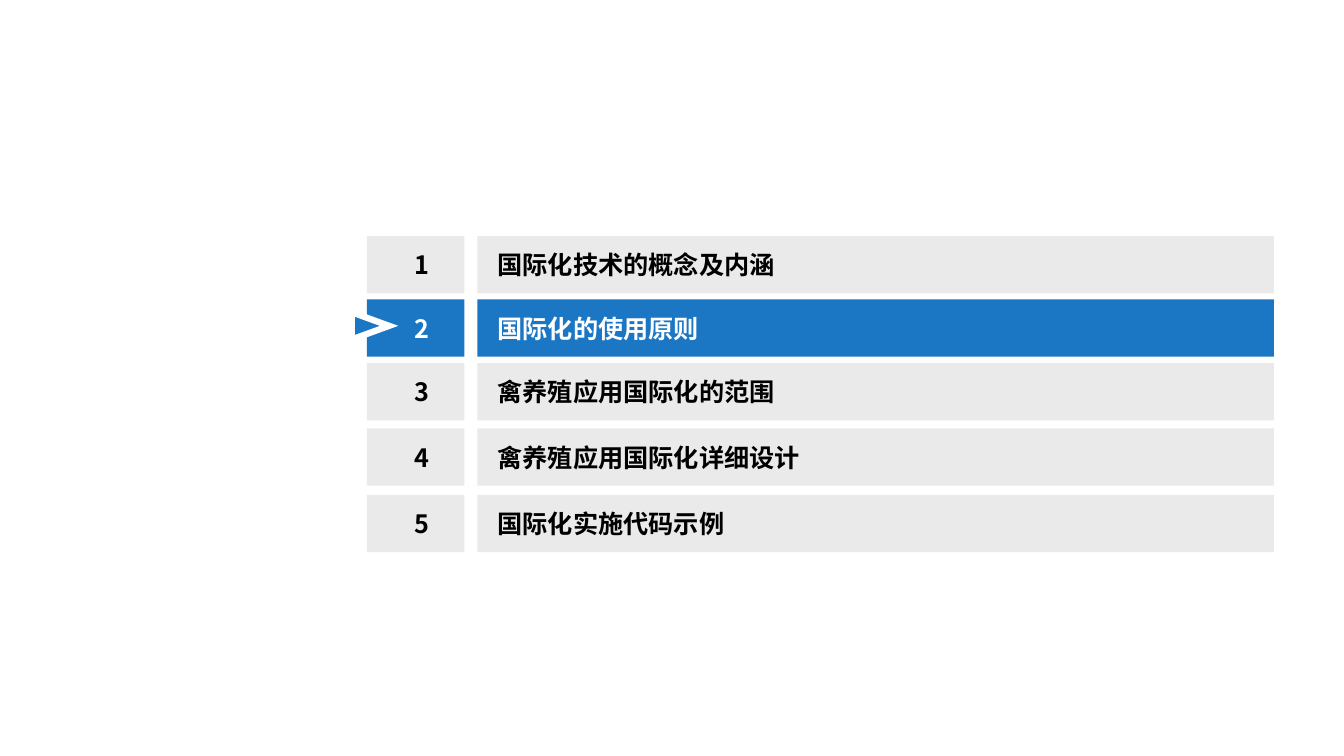
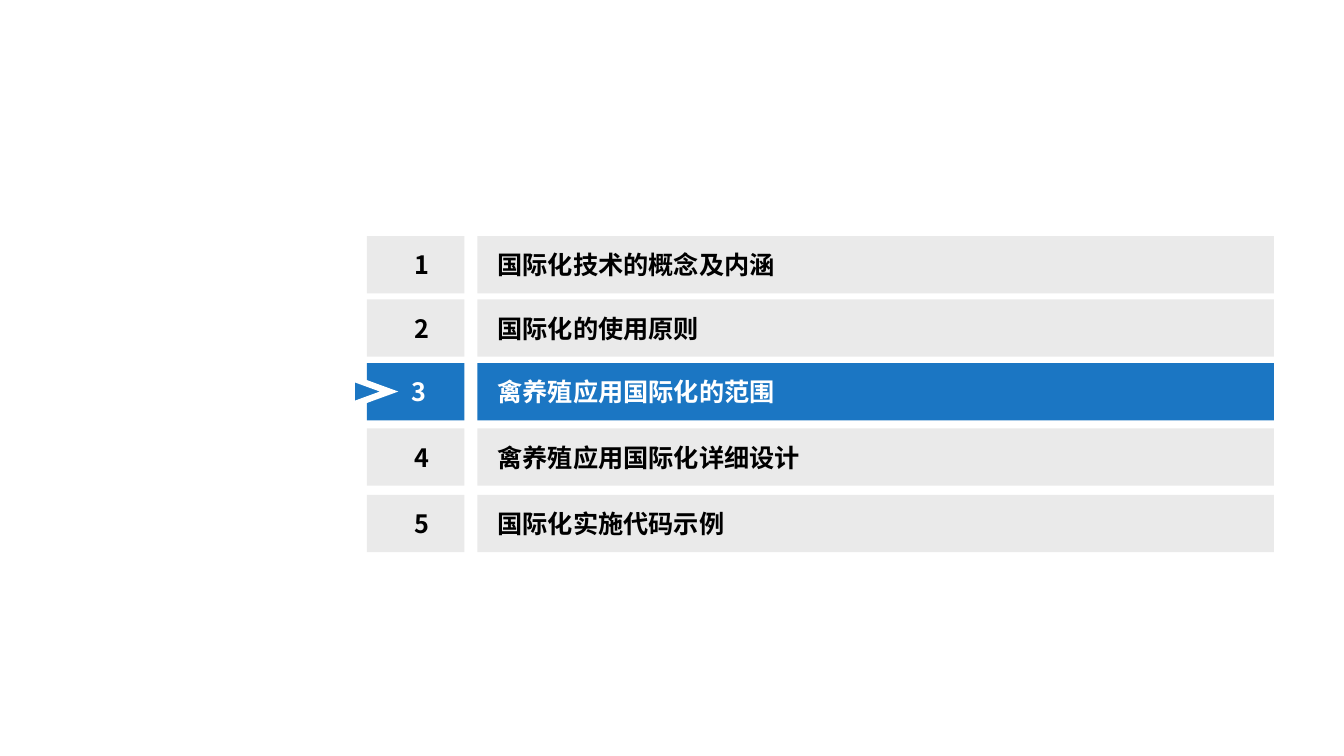
from lxml.etree import SubElement
from pptx import Presentation
from pptx.dml.color import RGBColor
from pptx.enum.shapes import MSO_SHAPE
from pptx.enum.text import MSO_ANCHOR, PP_ALIGN
from pptx.oxml.ns import qn
from pptx.util import Pt

BLUE = RGBColor(0x1B, 0x76, 0xC3)
GRAY = RGBColor(0xEA, 0xEA, 0xEA)
WHITE = RGBColor(0xFF, 0xFF, 0xFF)
BLACK = RGBColor(0x00, 0x00, 0x00)
FONT = "Noto Sans CJK SC"

NUMBER_LEFT, NUMBER_WIDTH = 262, 69.8
TITLE_LEFT, TITLE_WIDTH = 341, 569
ROW_HEIGHT = 41
INSET = 14.4

CHAPTERS = [
    (168.7, "国际化技术的概念及内涵"),
    (213.8, "国际化的使用原则"),
    (259.4, "禽养殖应用国际化的范围"),
    (306, "禽养殖应用国际化详细设计"),
    (353.5, "国际化实施代码示例"),
]


class AgendaDeck:
    def __init__(self):
        self.deck = Presentation()
        self.deck.slide_width = Pt(960)
        self.deck.slide_height = Pt(540)
        self.page = None

    def add_page(self):
        self.page = self.deck.slides.add_slide(self.deck.slide_layouts[6])

    def shape(self, kind, left, top, width, height, fill):
        shape = self.page.shapes.add_shape(
            kind, Pt(left), Pt(top), Pt(width), Pt(height))
        shape.shadow.inherit = False
        shape.fill.solid()
        shape.fill.fore_color.rgb = fill
        return shape

    def cell(self, left, top, width, text, active, align, inset=INSET):
        box = self.shape(MSO_SHAPE.RECTANGLE, left, top, width, ROW_HEIGHT,
                         BLUE if active else GRAY)
        box.line.fill.background()
        frame = box.text_frame
        frame.word_wrap = True
        frame.vertical_anchor = MSO_ANCHOR.MIDDLE
        frame.margin_left, frame.margin_right = Pt(inset), Pt(5.8)
        frame.margin_top = frame.margin_bottom = Pt(3.6)
        para = frame.paragraphs[0]
        para.text = text
        para.alignment = align
        font = para.font
        font.name = FONT
        font.size = Pt(18)
        font.bold = True
        font.color.rgb = WHITE if active else BLACK
        properties = para._p.get_or_add_pPr().find(qn("a:defRPr"))
        SubElement(properties, qn("a:ea"), typeface=FONT)

    def marker(self, top):
        marker = self.shape(MSO_SHAPE.ISOSCELES_TRIANGLE,
                            254.9, top, 19.4, 26.6, BLUE)
        marker.rotation = 90
        marker.line.color.rgb = WHITE
        marker.line.width = Pt(4.5)
        outline = marker._element.spPr.find(qn("a:ln"))
        SubElement(outline, qn("a:miter"), lim="800000")

    def agenda(self, current, marker_top, current_inset=INSET):
        self.add_page()
        for number, (top, title) in enumerate(CHAPTERS, 1):
            active = number == current
            self.cell(NUMBER_LEFT, top, NUMBER_WIDTH, str(number), active,
                      PP_ALIGN.CENTER, current_inset if active else INSET)
            self.cell(TITLE_LEFT, top, TITLE_WIDTH, title, active, PP_ALIGN.LEFT)
        self.marker(marker_top)


def main():
    agenda_deck = AgendaDeck()
    agenda_deck.agenda(2, 219.5)
    agenda_deck.agenda(3, 266.4, 10)
    agenda_deck.deck.save("out.pptx")


if __name__ == "__main__":
    main()
